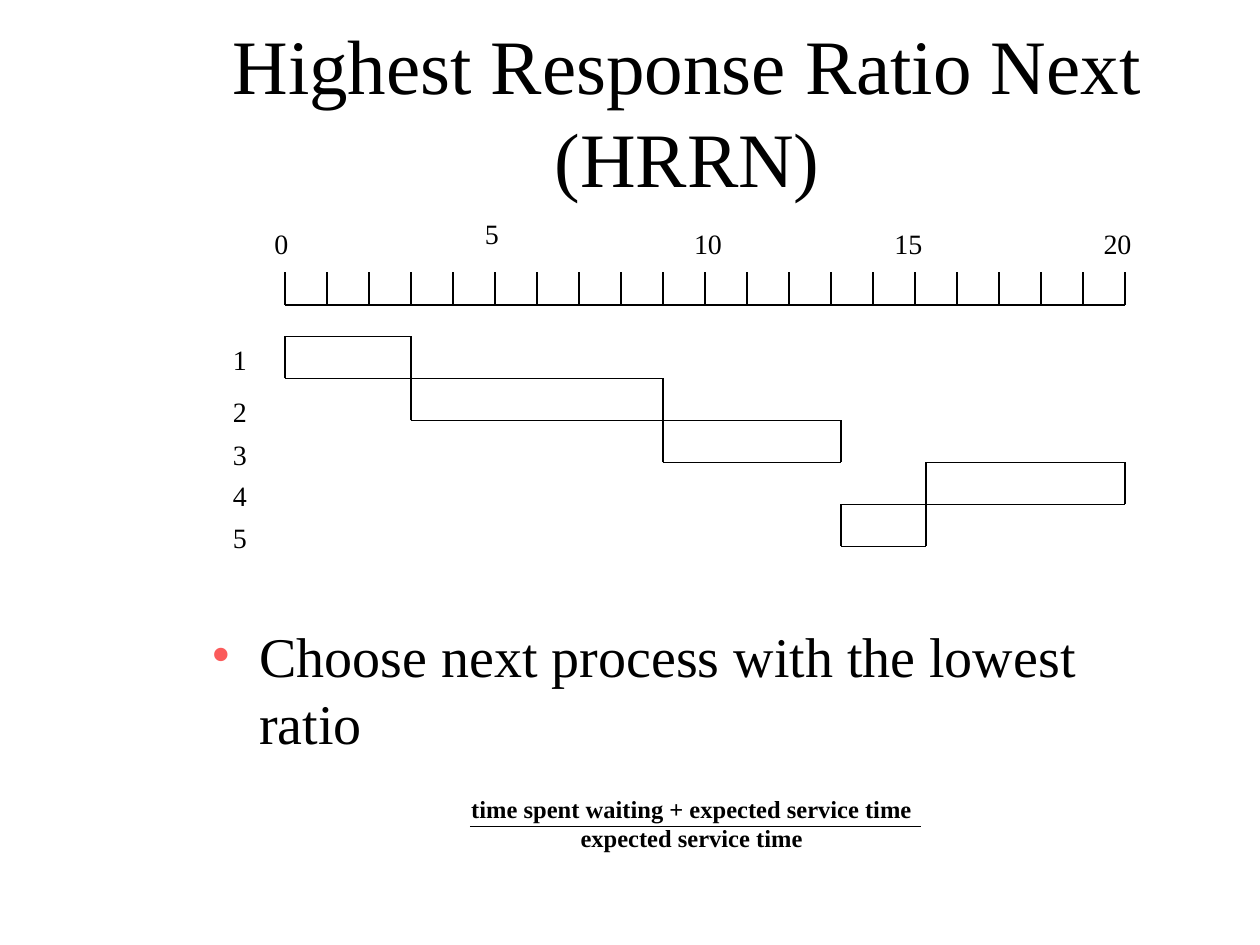
from typing import NamedTuple

from lxml import etree
from pptx import Presentation
from pptx import util as u
from pptx.dml.color import RGBColor
from pptx.enum import shapes, text
from pptx.oxml import ns

BLACK = RGBColor(0x00, 0x00, 0x00)
BULLET_RED = RGBColor(0xFB, 0x5B, 0x5B)
FONT_NAME = "Times New Roman"

# Time axis and row grid, in inches
AXIS_LEFT, AXIS_TOP, AXIS_BOTTOM = 2.26, 2.16, 2.42
TIME_UNITS = 20
UNIT = 1 / 3
ROWS_TOP, ROW_HEIGHT = 2.67, 1 / 3
LABEL_HEIGHT = 0.36


class Label(NamedTuple):
    wording: str
    left: float
    top: float
    width: float = 0.31


class Bar(NamedTuple):
    row: int
    start: float
    end: float


TIME_LABELS = [
    Label("0", 2.08, 1.75),
    Label("5", 3.75, 1.67),
    Label("10", 5.41, 1.75, 0.42),
    Label("15", 7, 1.75, 0.42),
    Label("20", 8.66, 1.75, 0.42),
]
PROCESS_LABELS = [
    Label(str(number), 1.75, top)
    for number, top in enumerate((2.67, 3.08, 3.42, 3.75, 4.08), start=1)
]
BARS = [
    Bar(0, 0, 3),
    Bar(1, 3, 9),
    Bar(2, 9, 13.25),
    Bar(3, 15.26, 20),
    Bar(4, 13.25, 15.26),
]


def time_x(time: float) -> float:
    return AXIS_LEFT + time * UNIT


def add_line(slide, x1: float, y1: float, x2: float, y2: float) -> None:
    line = slide.shapes.add_connector(
        shapes.MSO_CONNECTOR.STRAIGHT,
        u.Inches(x1), u.Inches(y1), u.Inches(x2), u.Inches(y2),
    )
    line.line.color.rgb = BLACK
    line.line.width = u.Pt(1)
    etree.SubElement(line._element.spPr, ns.qn("a:effectLst"))


def add_text(slide, left: float, top: float, width: float, height: float,
             lines: list[str], size: float, bold: bool = False,
             centred: bool = False, wrap: bool = False):
    shape = slide.shapes.add_textbox(
        u.Inches(left), u.Inches(top), u.Inches(width), u.Inches(height))
    frame = shape.text_frame
    frame.word_wrap = wrap
    frame.auto_size = (text.MSO_AUTO_SIZE.NONE if wrap
                       else text.MSO_AUTO_SIZE.SHAPE_TO_FIT_TEXT)
    for index, wording in enumerate(lines):
        paragraph = frame.add_paragraph() if index else frame.paragraphs[0]
        paragraph.alignment = text.PP_ALIGN.CENTER if centred else text.PP_ALIGN.LEFT
        run = paragraph.add_run()
        run.text = wording
        run.font.name = FONT_NAME
        run.font.size = u.Pt(size)
        run.font.bold = bold
        run.font.color.rgb = BLACK
    return frame


def add_bullet(paragraph) -> None:
    properties = paragraph._p.get_or_add_pPr()
    indent = u.Inches(0.38)
    properties.set("marL", str(indent))
    properties.set("indent", str(-indent))
    colour = etree.SubElement(properties, ns.qn("a:buClr"))
    etree.SubElement(colour, ns.qn("a:srgbClr"), val=str(BULLET_RED))
    etree.SubElement(properties, ns.qn("a:buFont"), typeface=FONT_NAME)
    etree.SubElement(properties, ns.qn("a:buChar"), char="•")


def add_label(slide, label: Label) -> None:
    add_text(slide, label.left, label.top, label.width, LABEL_HEIGHT,
             [label.wording], 16)


def add_bar(slide, bar: Bar) -> None:
    left, right = time_x(bar.start), time_x(bar.end)
    top = ROWS_TOP + bar.row * ROW_HEIGHT
    bottom = top + ROW_HEIGHT
    for x in (left, right):
        add_line(slide, x, top, x, bottom)
    for y in (top, bottom):
        add_line(slide, left, y, right, y)


def main() -> None:
    presentation = Presentation()
    presentation.slide_width = u.Inches(10)
    presentation.slide_height = u.Inches(7.5)
    slide = presentation.slides.add_slide(presentation.slide_layouts[6])

    # Title
    title = add_text(slide, 1.58, 0.25, 7.75, 1.25,
                     ["Highest Response Ratio Next (HRRN)"], 44,
                     centred=True, wrap=True)
    title.vertical_anchor = text.MSO_ANCHOR.MIDDLE

    # Selection rule
    rule = add_text(slide, 1.58, 4.88, 7.92, 1.79,
                    ["Choose next process with the lowest ratio"], 32, wrap=True)
    add_bullet(rule.paragraphs[0])

    # Ratio formula
    add_text(slide, 3.64, 6.25, 3.7, 0.57,
             ["time spent waiting + expected service time",
              "expected service time"], 14, bold=True, centred=True)
    add_line(slide, 3.73, 6.56, 7.31, 6.56)

    # Process schedule
    for bar in BARS:
        add_bar(slide, bar)

    # Time axis
    add_line(slide, time_x(0), AXIS_BOTTOM, time_x(TIME_UNITS), AXIS_BOTTOM)
    for time in range(TIME_UNITS + 1):
        add_line(slide, time_x(time), AXIS_BOTTOM, time_x(time), AXIS_TOP)

    # Process and time labels
    for label in PROCESS_LABELS + TIME_LABELS:
        add_label(slide, label)

    presentation.save("out.pptx")


if __name__ == "__main__":
    main()
